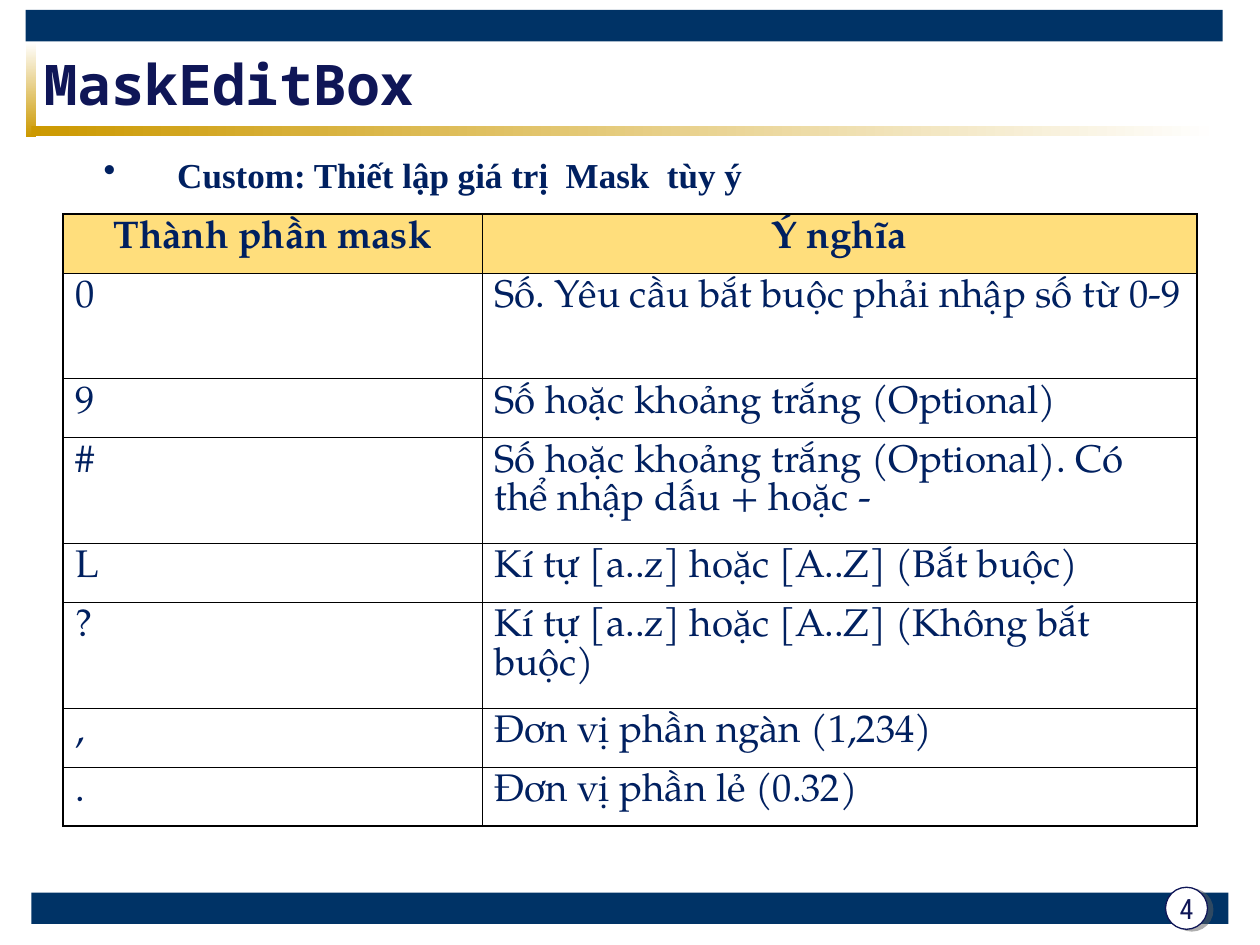
from lxml.etree import SubElement as Sub, Element as Elem
from pptx import Presentation
from pptx.dml.color import RGBColor as Rgb
from pptx.enum.shapes import MSO_SHAPE as Form
from pptx.enum.text import MSO_ANCHOR as Anchor, PP_ALIGN as Align
from pptx.oxml.ns import qn
from pptx.util import Inches, Pt

NAVY = Rgb(0x00, 0x33, 0x66)
GOLD = Rgb(0xCC, 0x99, 0x00)
WHITE = Rgb(0xFF, 0xFF, 0xFF)
INK = Rgb(0x0F, 0x16, 0x57)
BLUE = Rgb(0x00, 0x20, 0x60)
SAND = Rgb(0xFF, 0xD1, 0x47)
GRAY = Rgb(0x5F, 0x5F, 0x5F)
BLACK = Rgb(0, 0, 0)

WIDE, HIGH = Inches(10), Inches(7.5)
COLS, ROWS = 120, 90

HEAD = dict(name="Noto Sans Mono", size=Pt(32), bold=True)
LEAD = dict(name="Times New Roman", size=Pt(20), bold=True)
PAGE = dict(name="Roboto Condensed", size=Pt(16), bold=False)
CELL = dict(name="TeX Gyre Pagella", size=Pt(22), bold=False)

MASKS = [
    ("Thành phần mask", "Ý nghĩa"),
    ("0", "Số. Yêu cầu bắt buộc phải nhập số từ 0-9"),
    ("9", "Số hoặc khoảng trắng (Optional)"),
    ("#", "Số hoặc khoảng trắng (Optional). Có thể nhập dấu + hoặc -"),
    ("L", "Kí tự [a..z] hoặc [A..Z] (Bắt buộc)"),
    ("?", "Kí tự [a..z] hoặc [A..Z] (Không bắt buộc)"),
    (",", "Đơn vị phần ngàn (1,234)"),
    (".", "Đơn vị phần lẻ (0.32)"),
]
TALL = {1, 3, 5}


def across(n):
    return round(WIDE * n / COLS)


def down(n):
    return round(HIGH * n / ROWS)


def place(box):
    x, y, w, h = box
    return across(x), down(y), across(w), down(h)


def paint(node, tone, **mods):
    color = Sub(node, qn("a:srgbClr"), val=str(tone))
    for key, val in mods.items():
        Sub(color, qn("a:" + key), val=str(val))


def write(frame, text, font, tone, align=Align.LEFT, gap=None):
    para = frame.paragraphs[0]
    para.alignment = align
    if gap:
        para.line_spacing = gap
    run = para.add_run()
    run.text = text
    for key, val in font.items():
        setattr(run.font, key, val)
    run.font.color.rgb = tone
    return para


def label(slide, box, text, font, tone, anchor=Anchor.MIDDLE, **look):
    frame = slide.shapes.add_textbox(*place(box)).text_frame
    frame.word_wrap = True
    frame.vertical_anchor = anchor
    return write(frame, text, font, tone, **look)


def block(slide, box, form=Form.RECTANGLE, tone=NAVY):
    shape = slide.shapes.add_shape(form, *place(box))
    shape.shadow.inherit = False
    shape.fill.solid()
    shape.fill.fore_color.rgb = tone
    shape.line.fill.background()
    return shape


def fade(slide, box, tones, angle):
    fill = block(slide, box).fill
    fill.gradient()
    fill.gradient_angle = angle
    for stop, tone in zip(fill.gradient_stops, tones):
        stop.color.rgb = tone


def title(slide, box):
    x, y, w, h = box
    block(slide, (x - 0.55, y - 4.05, 114, 3))
    fade(slide, (x - 0.5, y - 1, 0.95, 9), (WHITE, GOLD), 270)
    fade(slide, (x, y + h, 113, 0.95), (GOLD, WHITE), 0)
    label(slide, box, "MaskEditBox", HEAD, INK, gap=0.8)


def badge(slide, box):
    x, y, w, h = box
    disc = block(slide, box, Form.OVAL, WHITE)
    disc.line.color.rgb = INK
    disc.line.width = Pt(0.75)
    fx = disc._element.spPr.find(qn("a:effectLst"))
    cast = Sub(fx, qn("a:outerShdw"), dist=str(Pt(3.2)), dir=str(18 * 60000),
               algn="ctr", rotWithShape="0")
    paint(cast, GRAY, alpha=50000)
    pad = 0.65
    label(slide, (x - pad, y - pad, w + 2 * pad, h + 2 * pad), "4", PAGE, INK,
          align=Align.CENTER)


def footer(slide, box):
    x, y, w, h = box
    block(slide, box)
    badge(slide, (x + w - 6, y - 0.5, 4, 4))


def lead(slide, box):
    para = label(slide, box, "Custom: Thiết lập giá trị  Mask  tùy ý", LEAD, BLUE,
                 Anchor.TOP, gap=0.8)
    para.level = 3
    props = para._p.get_or_add_pPr()
    props.set("marL", str(across(11)))
    props.set("indent", str(-across(7)))
    paint(Sub(props, qn("a:buClr")), BLUE)
    Sub(props, qn("a:buChar"), char="•")


def frame(cell, outer):
    props = cell._tc.get_or_add_tcPr()
    for i, side in enumerate("LRTB"):
        edge = Elem(qn("a:ln" + side), w=str(Pt(1.08 if side in outer else 0.45)))
        paint(Sub(edge, qn("a:solidFill")), BLACK)
        props.insert(i, edge)


def shade(cell):
    cell.fill.solid()
    cell.fill.fore_color.rgb = SAND
    tone = cell._tc.tcPr.find(qn("a:solidFill"))[0]
    Sub(tone, qn("a:alpha"), val="71000")


def grid(slide, box):
    last = len(MASKS) - 1
    table = slide.shapes.add_table(last + 1, 2, *place(box)).table
    table.first_row = table.horz_banding = False
    left = 39.9
    for col, wide in zip(table.columns, (left, box[2] - left)):
        col.width = across(wide)
    for r, texts in enumerate(MASKS):
        table.rows[r].height = down(10.06 if r in TALL else 5.62)
        for c, text in enumerate(texts):
            cell = table.cell(r, c)
            outer = "LR"[c] + {0: "T", last: "B"}.get(r, "")
            if r == 0:
                shade(cell)
            else:
                cell.fill.background()
            frame(cell, outer)
            write(cell.text_frame, text, CELL | dict(bold=r == 0), BLUE,
                  Align.CENTER if r == 0 else Align.LEFT)


def main():
    deck = Presentation()
    deck.slide_width, deck.slide_height = WIDE, HIGH
    slide = deck.slides.add_slide(deck.slide_layouts[6])
    footer(slide, (3, 85, 114, 3))
    title(slide, (3, 5, 108, 7))
    lead(slide, (4.7, 14.8, 110.5, 5))
    grid(slide, (6, 20.4, 108, 58.28))
    deck.save("out.pptx")


if __name__ == "__main__":
    main()
